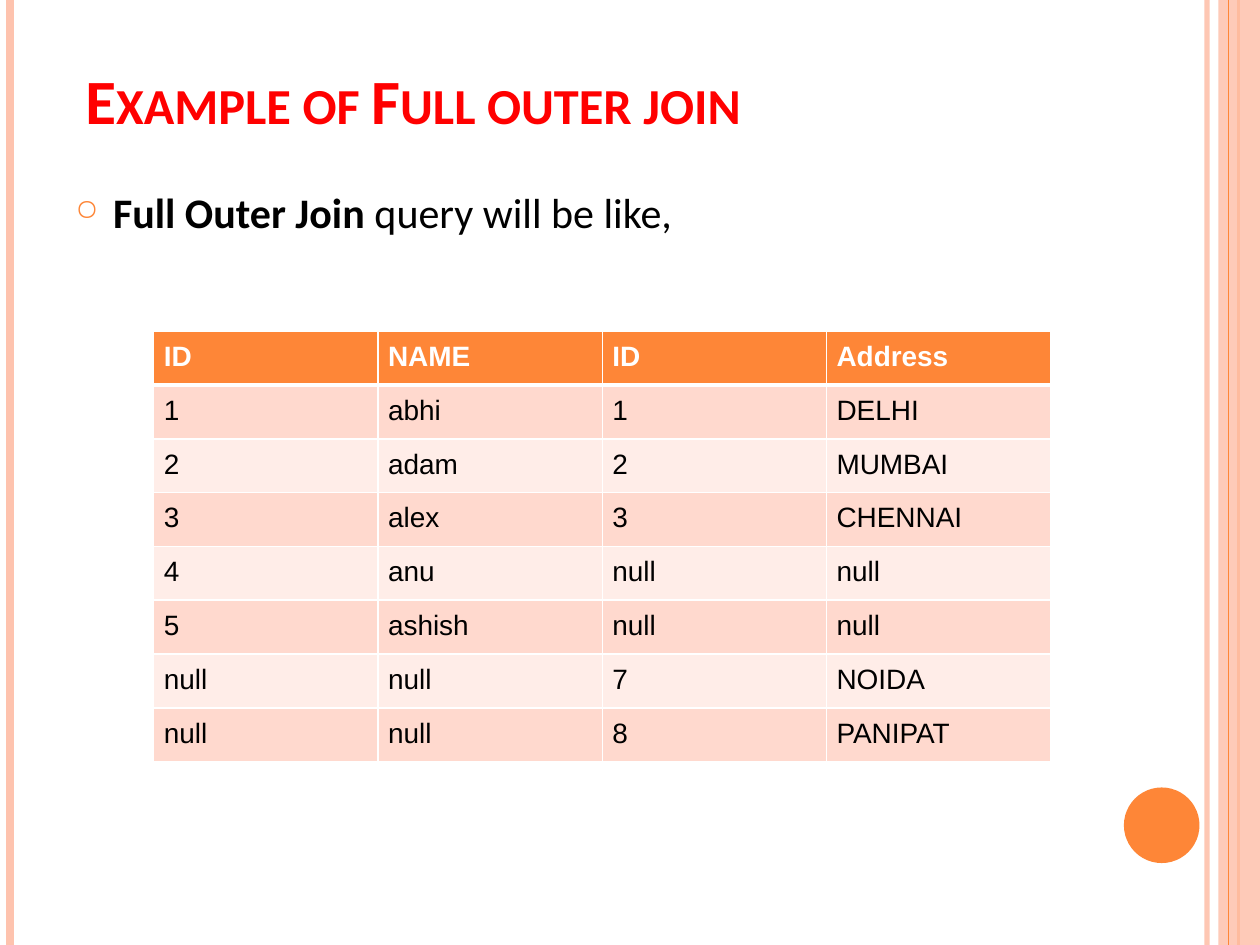
from lxml.etree import SubElement
from pptx import Presentation
from pptx.dml.color import RGBColor
from pptx.enum.shapes import MSO_CONNECTOR, MSO_SHAPE
from pptx.enum.text import MSO_ANCHOR
from pptx.oxml.ns import qn
from pptx.util import Inches, Pt

ORANGE = RGBColor(0xFE, 0x86, 0x37)
PEACH = RGBColor(0xFE, 0xC3, 0xAE)
BAND = RGBColor(0xFF, 0xD9, 0xCE)
PALE = RGBColor(0xFF, 0xED, 0xE8)
RED = RGBColor(0xFF, 0, 0)
BLACK = RGBColor(0, 0, 0)
WHITE = RGBColor(0xFF, 0xFF, 0xFF)

HIGH = 7.5
COL_W = 1.78
ROW_H = 0.41
ROWS = [
    ("ID", "NAME", "ID", "Address"),
    ("1", "abhi", "1", "DELHI"),
    ("2", "adam", "2", "MUMBAI"),
    ("3", "alex", "3", "CHENNAI"),
    ("4", "anu", "null", "null"),
    ("5", "ashish", "null", "null"),
    ("null", "null", "7", "NOIDA"),
    ("null", "null", "8", "PANIPAT"),
]


def add_tag(parent, tag, **attrs):
    return SubElement(parent, qn(tag), attrs)


def set_alpha(shape, percent):
    color = next(shape._element.spPr.iter(qn("a:srgbClr")))
    add_tag(color, "a:alpha", val=str(percent * 1000))


def set_font(run, name, size, color, bold=False):
    font = run.font
    font.name, font.size, font.bold = name, Pt(size), bold
    font.color.rgb = color


def add_rule(slide, x, color, width):
    """Draw a vertical line over the full slide height."""
    rule = slide.shapes.add_connector(
        MSO_CONNECTOR.STRAIGHT, Inches(x), 0, Inches(x), Inches(HIGH))
    rule.line.color.rgb = color
    rule.line.width = Pt(width)
    add_tag(rule._element.spPr, "a:effectLst")
    return rule


def add_solid(slide, kind, x, y, wide, high, color):
    shape = slide.shapes.add_shape(
        kind, Inches(x), Inches(y), Inches(wide), Inches(high))
    shape.shadow.inherit = False
    shape.fill.solid()
    shape.fill.fore_color.rgb = color
    shape.line.fill.background()
    return shape


def add_frame(slide, x, y, wide, high):
    box = slide.shapes.add_textbox(
        Inches(x), Inches(y), Inches(wide), Inches(high))
    box.text_frame.word_wrap = True
    return box.text_frame


def add_title(slide, text):
    frame = add_frame(slide, 0.58, 0.3, 8.17, 1.25)
    frame.vertical_anchor = MSO_ANCHOR.BOTTOM
    frame.margin_bottom = Inches(0.46)
    frame.text = text
    run = frame.paragraphs[0].runs[0]
    set_font(run, "Calibri", 36, RED, True)
    run.font._element.set("cap", "small")


def add_body(slide, parts):
    """Write one bulleted line from (text, bold) parts."""
    para = add_frame(slide, 0.5, 1.43, 8.44, 5.83).paragraphs[0]
    para.space_before = Pt(6)
    props = para._p.get_or_add_pPr()
    props.set("marL", str(Inches(0.3)))
    props.set("indent", str(Inches(-0.3)))
    tint = add_tag(props, "a:buClr")
    add_tag(tint, "a:srgbClr", val=str(ORANGE))
    add_tag(props, "a:buSzPct", val="70000")
    add_tag(props, "a:buChar", char="○")
    for text, bold in parts:
        run = para.add_run()
        run.text = text
        set_font(run, "Calibri", 24, BLACK, bold)


def set_edges(cell, top, bottom):
    """Give a cell white borders, with top and bottom widths in points."""
    props = cell._tc.get_or_add_tcPr()
    for side, width in zip("LRTB", (1, 1, top, bottom)):
        edge = add_tag(props, f"a:ln{side}", w=str(Pt(width)))
        fill = add_tag(edge, "a:solidFill")
        add_tag(fill, "a:srgbClr", val=str(WHITE))


def fill_cell(cell, text, row):
    head = row == 0
    cell.margin_left = cell.margin_right = Inches(0.08)
    cell.margin_top = cell.margin_bottom = Inches(0.08)
    cell.text = text
    set_font(cell.text_frame.paragraphs[0].runs[0], "Arial", 16,
             WHITE if head else BLACK, head)
    set_edges(cell, 3 if row == 1 else 1, 3 if head else 1)
    cell.fill.solid()
    cell.fill.fore_color.rgb = ORANGE if head else BAND if row % 2 else PALE


def add_grid(slide, x, y):
    count = len(ROWS[0])
    table = slide.shapes.add_table(
        len(ROWS), count, Inches(x), Inches(y),
        Inches(COL_W * count), Inches(ROW_H * len(ROWS))).table
    for col in table.columns:
        col.width = Inches(COL_W)
    for r, words in enumerate(ROWS):
        table.rows[r].height = Inches(ROW_H)
        for c, word in enumerate(words):
            fill_cell(table.cell(r, c), word, r)


def main():
    deck = Presentation()
    deck.slide_width, deck.slide_height = Inches(10), Inches(HIGH)
    slide = deck.slides.add_slide(deck.slide_layouts[6])

    # Side stripes and disc
    set_alpha(add_rule(slide, 9.58, PEACH, 3), 93)
    add_rule(slide, 0.08, PEACH, 4.5)
    add_rule(slide, 9.83, ORANGE, 1.5)
    strip = add_solid(slide, MSO_SHAPE.RECTANGLE, 9.67, 0, 0.33, HIGH, PEACH)
    set_alpha(strip, 87)
    add_rule(slide, 9.75, ORANGE, 0.75)
    add_solid(slide, MSO_SHAPE.OVAL, 8.92, 6.25, 0.6, 0.6, ORANGE)

    # Text
    add_title(slide, "Example of Full outer join")
    add_body(slide, [("Full Outer Join", True),
                     (" query will be like,", False)])

    # Join result
    add_grid(slide, 1.22, 2.63)

    deck.save("out.pptx")


if __name__ == "__main__":
    main()
